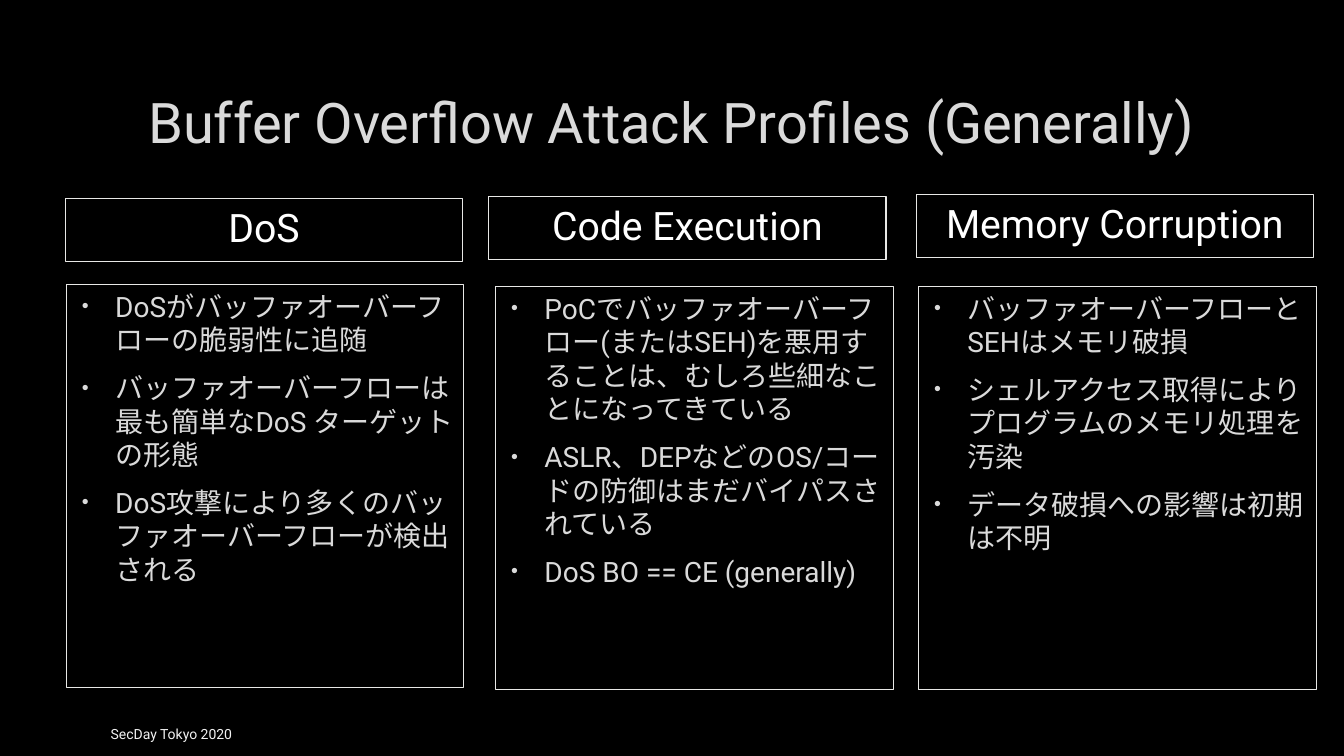
from dataclasses import dataclass

from lxml import etree
from pptx import Presentation
from pptx import util as u
from pptx.dml.color import RGBColor
from pptx.enum import text as t
from pptx.oxml.ns import qn


@dataclass(frozen=True)
class Theme:
    font: str = "Roboto"
    back: str = "000000"
    soft: str = "DADADA"
    white: str = "FFFFFF"
    pale: str = "F2F2F2"
    edge: str = "E8E8E6"
    title: int = 40
    head: int = 28
    body: int = 20
    foot: int = 10
    rule: float = 0.75


THEME = Theme()
WIDE, HEAD, LIST = 10.01, 1.6, 10.16  # column width, heading and list heights

# heading, its left and top, list left and top, list items
COLUMNS = [
    ("DoS", (1.65, 5.0), (1.68, 7.16), [
        "DoSがバッファオーバーフローの脆弱性に追随",
        "バッファオーバーフローは最も簡単なDoS ターゲットの形態",
        "DoS攻撃により多くのバッファオーバーフローが検出される"]),
    ("Code Execution", (12.32, 4.95), (12.5, 7.21), [
        "PoCでバッファオーバーフロー(またはSEH)を悪用することは、むしろ些細なことになってきている",
        "ASLR、DEPなどのOS/コードの防御はまだバイパスされている",
        "DoS BO == CE (generally)"]),
    ("Memory Corruption", (23.09, 4.9), (23.16, 7.21), [
        "バッファオーバーフローとSEHはメモリ破損",
        "シェルアクセス取得によりプログラムのメモリ処理を汚染",
        "データ破損への影響は初期は不明"]),
]


def place(shape, box):
    shape.left, shape.top, shape.width, shape.height = map(u.Cm, box)


def write(shape, words, size, color, anchor=t.MSO_ANCHOR.TOP, align=t.PP_ALIGN.LEFT):
    frame = shape.text_frame
    frame.text = words
    frame.word_wrap = True
    frame.auto_size = t.MSO_AUTO_SIZE.NONE
    frame.vertical_anchor = anchor
    for para in frame.paragraphs:
        para.alignment = align
        for run in para.runs:
            run.font.name = THEME.font
            run.font.size = u.Pt(size)
            run.font.color.rgb = RGBColor.from_string(color)


def border(shape):
    shape.line.color.rgb = RGBColor.from_string(THEME.edge)
    shape.line.width = u.Pt(THEME.rule)


def bullet(para):
    para.space_before, para.space_after = u.Pt(4), u.Pt(6)
    props = para._p.get_or_add_pPr()
    props.set("marL", str(u.Cm(0.97)))
    props.set("indent", str(u.Cm(-0.84)))
    color = etree.SubElement(props, qn("a:buClr"))
    etree.SubElement(color, qn("a:srgbClr"), val=THEME.soft)
    etree.SubElement(props, qn("a:buSzPct"), val="70000")
    etree.SubElement(props, qn("a:buFont"), typeface="Arial")
    etree.SubElement(props, qn("a:buChar"), char="•")


def add_title(slide, box):
    title = slide.shapes.title
    place(title, box)
    write(title, "Buffer Overflow Attack Profiles (Generally)", THEME.title,
          THEME.soft, t.MSO_ANCHOR.MIDDLE, t.PP_ALIGN.CENTER)


def add_head(slide, words, box):
    head = slide.shapes.add_textbox(*map(u.Cm, box))
    write(head, words, THEME.head, THEME.white, align=t.PP_ALIGN.CENTER)
    border(head)


def add_list(shape, items, box):
    place(shape, box)
    write(shape, "\n".join(items), THEME.body, THEME.soft)
    border(shape)
    for para in shape.text_frame.paragraphs:
        bullet(para)


def add_foot(slide, box):
    foot = slide.shapes.add_textbox(*map(u.Cm, box))
    write(foot, "SecDay Tokyo 2020", THEME.foot, THEME.pale, t.MSO_ANCHOR.MIDDLE)


def main():
    deck = Presentation()
    deck.slide_width, deck.slide_height = u.Cm(33.87), u.Cm(19.05)
    slide = deck.slides.add_slide(deck.slide_layouts[1])
    fill = slide.background.fill
    fill.solid()
    fill.fore_color.rgb = RGBColor.from_string(THEME.back)

    add_title(slide, (2.54, 1.7, 28.75, 2.69))
    for i, (head, top, low, items) in enumerate(COLUMNS):
        add_head(slide, head, (*top, WIDE, HEAD))
        box = (*low, WIDE, LIST)
        panel = slide.placeholders[1] if i == 0 else slide.shapes.add_textbox(*map(u.Cm, box))
        add_list(panel, items, box)
    add_foot(slide, (2.54, 17.98, 18.54, 1.02))
    deck.save("out.pptx")


if __name__ == "__main__":
    main()
